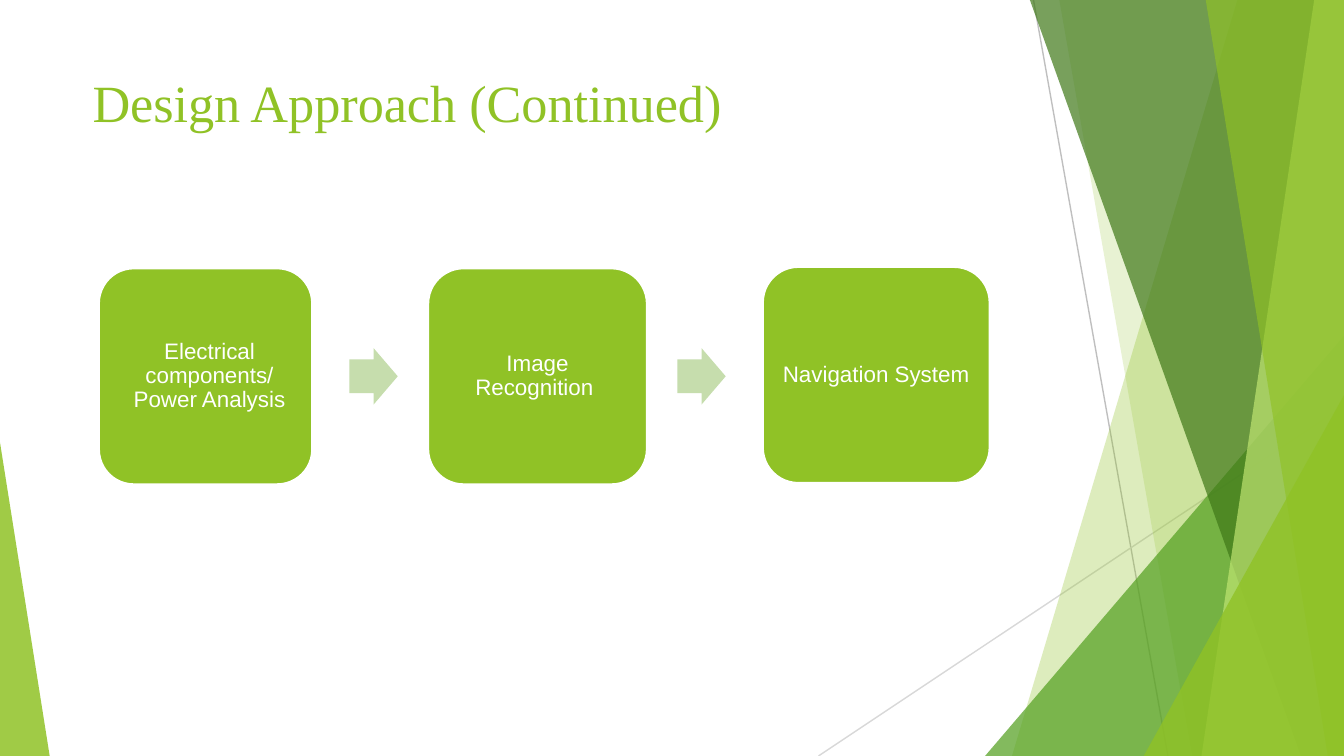
from lxml import etree
from pptx import Presentation
from pptx.dml.color import RGBColor
from pptx.enum.shapes import MSO_CONNECTOR, MSO_SHAPE
from pptx.enum.text import MSO_ANCHOR, PP_ALIGN
from pptx.oxml.ns import qn
from pptx.util import Inches, Pt

WIDTH = 10
HEIGHT = WIDTH * 9 / 16
TOP = -0.01
GREEN, WHITE, PALE = "90C226", "FFFFFF", "C6DDAD"


def rgb(value):
    return RGBColor.from_string(value)


class SlideBuilder:
    def __init__(self, s):
        self.s = s

    def paint(self, sp, color, alpha=100, outline=None):
        """Set fill with opacity in percent, and an optional (color, width) outline."""
        sp.shadow.inherit = False
        sp.fill.solid()
        sp.fill.fore_color.rgb = rgb(color)
        if alpha < 100:
            clr = sp._element.spPr.find(qn("a:solidFill"))[0]
            etree.SubElement(clr, qn("a:alpha"), val=str(alpha * 1000))
        if outline:
            sp.line.color.rgb = rgb(outline[0])
            sp.line.width = Pt(outline[1])
        else:
            sp.line.fill.background()

    def line(self, start, end, color):
        c = self.s.shapes.add_connector(
            MSO_CONNECTOR.STRAIGHT, *(Inches(v) for v in start + end))
        c.line.color.rgb = rgb(color)
        c.line.width = Pt(0.75)
        etree.SubElement(c._element.spPr, qn("a:effectLst"))

    def band(self, top_x, bottom_x, color, alpha):
        """Draw a full-height band from a slanted left edge to the slide's right edge."""
        points = [(WIDTH, TOP), (WIDTH, HEIGHT), (bottom_x, HEIGHT)]
        fb = self.s.shapes.build_freeform(Inches(top_x), Inches(TOP))
        fb.add_line_segments([(Inches(x), Inches(y)) for x, y in points])
        self.paint(fb.convert_to_shape(), color, alpha)

    def shape(self, kind, box, color, alpha=100, outline=None, adj=()):
        sp = self.s.shapes.add_shape(kind, *(Inches(v) for v in box))
        for i, value in enumerate(adj):
            sp.adjustments[i] = value
        self.paint(sp, color, alpha, outline)
        return sp

    def corner(self, left, top, width, apex, color, alpha):
        """Draw a right triangle standing on the bottom edge of the slide."""
        self.shape(MSO_SHAPE.ISOSCELES_TRIANGLE, (left, top, width, HEIGHT - top),
                   color, alpha, adj=[apex])

    def run(self, p, text, font, size, color):
        r = p.add_run()
        r.text = text
        r.font.name = font
        r.font.size = Pt(size)
        r.font.color.rgb = rgb(color)

    def title(self, text, box):
        tf = self.s.shapes.add_textbox(*(Inches(v) for v in box)).text_frame
        tf.word_wrap = True
        self.run(tf.paragraphs[0], text, "Times New Roman", 28, GREEN)

    def step(self, text, box, left_inset=0.05, right_inset=0.05):
        sp = self.shape(MSO_SHAPE.ROUNDED_RECTANGLE, box, GREEN, outline=(WHITE, 2))
        tf = sp.text_frame
        tf.word_wrap = True
        tf.vertical_anchor = MSO_ANCHOR.MIDDLE
        tf.margin_left, tf.margin_right = Inches(left_inset), Inches(right_inset)
        tf.margin_top = tf.margin_bottom = Inches(0.05)
        p = tf.paragraphs[0]
        p.alignment = PP_ALIGN.CENTER
        p.line_spacing = 0.9
        self.run(p, text, "Arial", 12, WHITE)

    def arrow(self, left):
        self.shape(MSO_SHAPE.RIGHT_ARROW, (left, 2.59, 0.36, 0.42), PALE, adj=[0.6, 0.5])


def main():
    prs = Presentation()
    prs.slide_width, prs.slide_height = Inches(WIDTH), Inches(HEIGHT)
    b = SlideBuilder(prs.slides.add_slide(prs.slide_layouts[6]))

    b.line((7.69, 0), (8.69, HEIGHT), "BFBFBF")
    b.line((WIDTH, 3.02), (6.09, HEIGHT), "D8D8D8")
    b.band(9.21, 7.53, GREEN, 30)
    b.band(7.88, 8.87, GREEN, 20)
    b.corner(7.33, 2.5, 2.67, 1, "54A021", 72)
    b.band(7.66, 9.68, "3F7818", 70)
    b.band(9.78, 8.94, "BFE471", 70)
    b.band(8.97, 9.88, GREEN, 65)
    b.corner(8.51, 2.94, 1.49, 1, GREEN, 80)
    b.corner(0, 3.29, 0.37, 0, GREEN, 85)

    b.title("Design Approach (Continued)", (0.59, 0.47, 7.05, 1.08))
    b.step("Navigation System", (5.67, 1.98, 1.7, 1.62))
    b.step("Image Recognition ", (3.18, 1.99, 1.64, 1.62))
    b.step("Electrical components/ Power Analysis", (0.73, 1.99, 1.6, 1.62), 0.08, 0.02)
    for left in (2.6, 5.04):
        b.arrow(left)

    prs.save("out.pptx")


if __name__ == "__main__":
    main()
